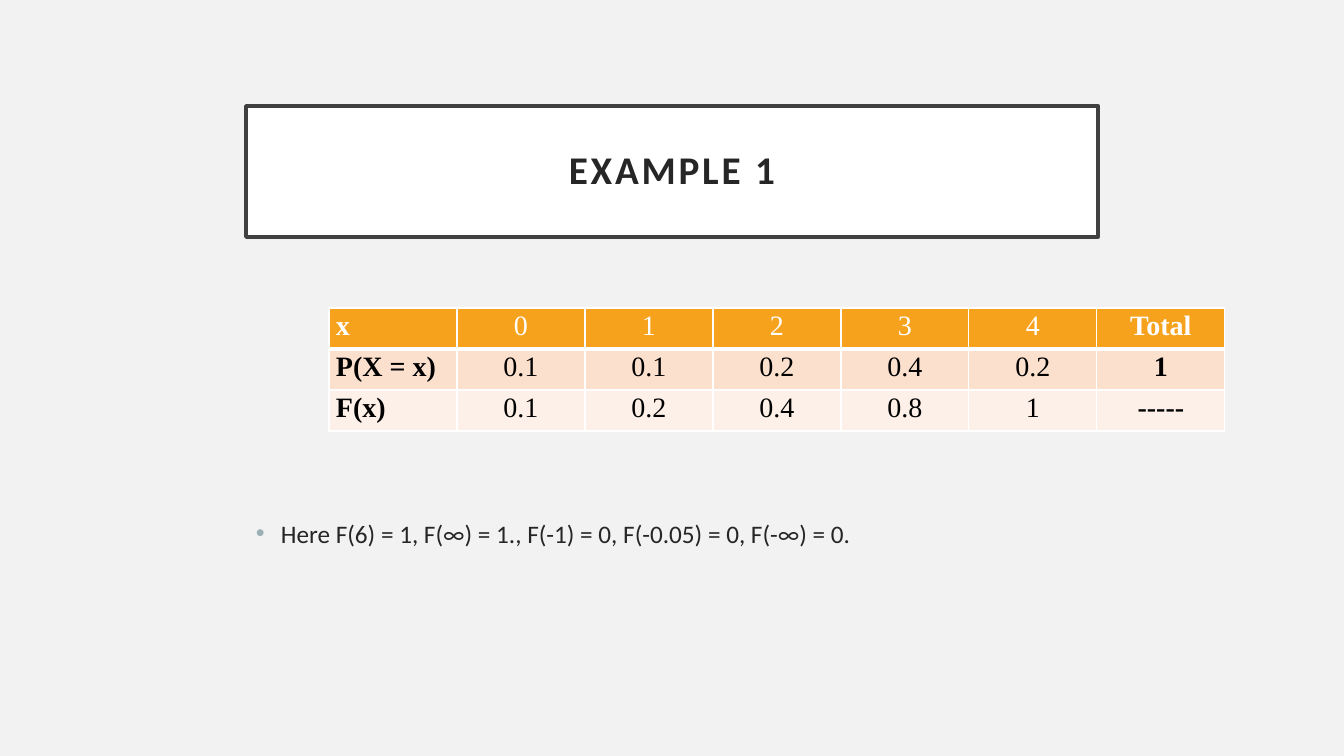
"""Build the slide with the distribution table of Example 1."""
from dataclasses import dataclass

from lxml.etree import SubElement
from pptx import Presentation
from pptx.dml.color import RGBColor
from pptx.enum.text import MSO_ANCHOR, MSO_AUTO_SIZE, PP_ALIGN
from pptx.oxml.ns import qn
from pptx.util import Emu, Pt


@dataclass(frozen=True)
class Theme:
    background: str = "F2F2F2"
    white: str = "FFFFFF"
    black: str = "000000"
    frame: str = "404040"
    ink: str = "262626"
    bullet: str = "9BAFB5"
    rows: tuple = ("F6A21D", "FBE0CD", "FDF0E8")
    text_font: str = "Calibri"
    table_font: str = "Times New Roman"
    title_size: int = 28
    table_size: int = 20
    text_size: int = 18


theme = Theme()
EMU_PER_PIXEL = 914400 / 100.8


def pixels(count):
    return Emu(round(count * EMU_PER_PIXEL))


def write(para, text, color, **formats):
    span = para.add_run()
    span.text = text
    span.font.color.rgb = RGBColor.from_string(color)
    for name, value in formats.items():
        setattr(span.font, name, value)
    return span


deck = Presentation()
deck.slide_width, deck.slide_height = pixels(1344), pixels(756)
page = deck.slides.add_slide(deck.slide_layouts[5])
page.background.fill.solid()
page.background.fill.fore_color.rgb = RGBColor.from_string(theme.background)

title = page.shapes.title
title_place = {"left": 246, "top": 106, "width": 852, "height": 131}
for name, value in title_place.items():
    setattr(title, name, pixels(value))
title.fill.solid()
title.fill.fore_color.rgb = RGBColor.from_string(theme.white)
title.line.color.rgb = RGBColor.from_string(theme.frame)
title.line.width = Pt(2.5)
title_format = {
    "auto_size": MSO_AUTO_SIZE.NONE,
    "word_wrap": True,
    "vertical_anchor": MSO_ANCHOR.MIDDLE,
    "margin_left": pixels(20),
    "margin_right": pixels(20),
    "margin_top": pixels(20),
    "margin_bottom": pixels(20),
}
for name, value in title_format.items():
    setattr(title.text_frame, name, value)
para = title.text_frame.paragraphs[0]
para.alignment = PP_ALIGN.CENTER
para.line_spacing = 0.9
span = write(para, "EXAMPLE 1", theme.ink, name=theme.text_font,
             size=Pt(theme.title_size), bold=True)
span.font._element.set("spc", "200")

box = page.shapes.add_textbox(pixels(246), pixels(290), pixels(852), pixels(342))
box.text_frame.word_wrap = True
box.text_frame.margin_top = pixels(228)
para = box.text_frame.paragraphs[0]
write(para, "Here F(6) = 1, F(∞) = 1., F(-1) = 0, F(-0.05) = 0, F(-∞) = 0.",
      theme.ink, name=theme.text_font, size=Pt(theme.text_size))
properties = para._p.get_or_add_pPr()
properties.set("marL", str(pixels(25)))
properties.set("indent", str(pixels(-25)))
bullet_color = SubElement(properties, qn("a:buClr"))
SubElement(bullet_color, qn("a:srgbClr"), val=theme.bullet)
SubElement(properties, qn("a:buFont"), typeface="Arial")
SubElement(properties, qn("a:buChar"), char="•")

distribution = [
    ["x", "0", "1", "2", "3", "4", "Total"],
    ["P(X = x)", "0.1", "0.1", "0.2", "0.4", "0.2", "1"],
    ["F(x)", "0.1", "0.2", "0.4", "0.8", "1", "-----"],
]
row_count, column_count = len(distribution), len(distribution[0])
table = page.shapes.add_table(row_count, column_count, pixels(329), pixels(308),
                              pixels(128 * column_count), pixels(41 * row_count)).table
cell_format = {
    "margin_left": pixels(7),
    "margin_right": pixels(7),
    "margin_top": 0,
    "margin_bottom": 0,
}
for row, values in enumerate(distribution):
    for column, value in enumerate(values):
        cell = table.cell(row, column)
        for name, setting in cell_format.items():
            setattr(cell, name, setting)
        para = cell.text_frame.paragraphs[0]
        para.alignment = PP_ALIGN.CENTER if column else PP_ALIGN.LEFT
        para.line_spacing = 1.07
        write(para, value, theme.black if row else theme.white,
              name=theme.table_font, size=Pt(theme.table_size),
              bold=column in (0, column_count - 1))
        cell_properties = cell._tc.get_or_add_tcPr()
        for side in ("lnL", "lnR", "lnT", "lnB"):
            width = Pt(3) if row == 0 and side == "lnB" else Pt(1)
            border = SubElement(cell_properties, qn(f"a:{side}"), w=str(width))
            border_fill = SubElement(border, qn("a:solidFill"))
            SubElement(border_fill, qn("a:srgbClr"), val=theme.white)
        cell.fill.solid()
        cell.fill.fore_color.rgb = RGBColor.from_string(theme.rows[row])

deck.save("out.pptx")
